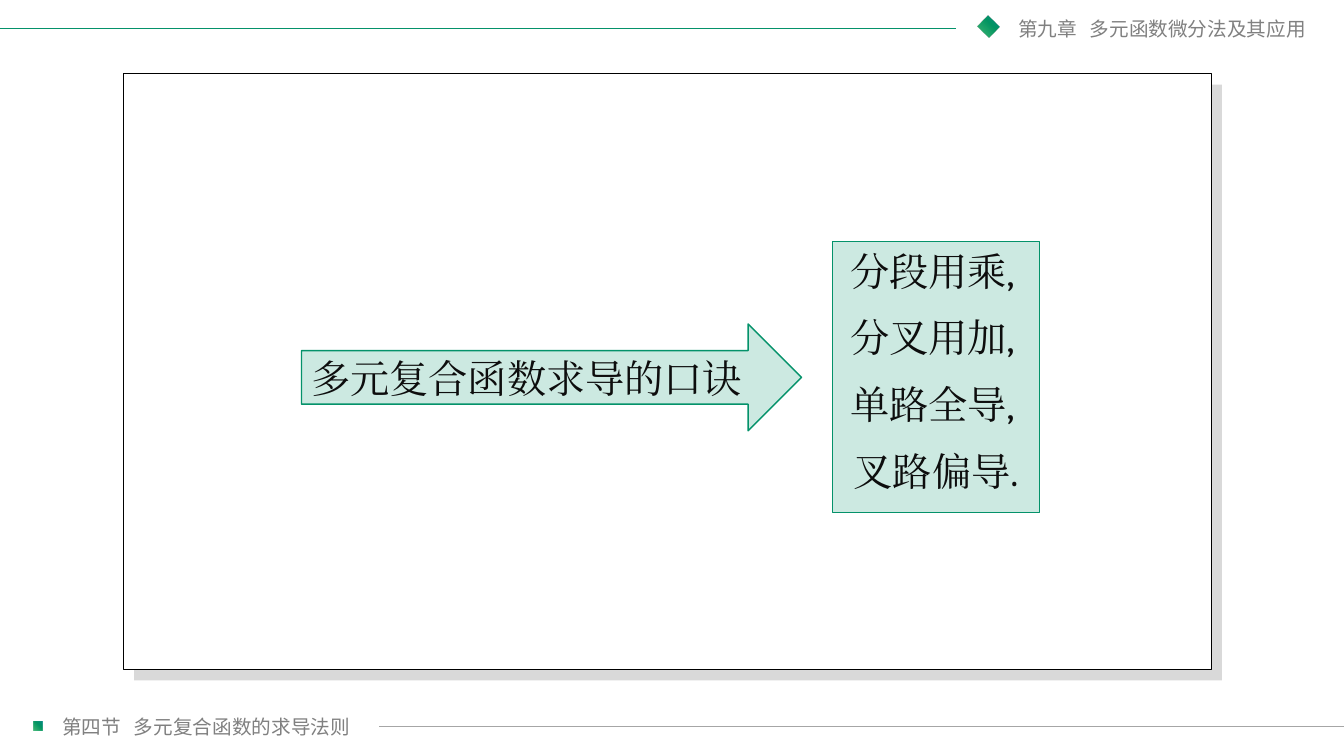
import pptx
import pptx.util
from lxml import etree
from pptx.dml.color import RGBColor
from pptx.enum.shapes import MSO_CONNECTOR, MSO_SHAPE
from pptx.enum.text import MSO_ANCHOR, PP_ALIGN
from pptx.oxml import parse_xml
from pptx.oxml.ns import nsdecls, qn

WIDTH, HEIGHT = 13.33, 7.5
GREEN = RGBColor(0x04, 0x92, 0x6A)
INK = RGBColor(0x0D, 0x0D, 0x0D)
GREY = RGBColor(0x80, 0x80, 0x80)
RULE_GREY = RGBColor(0xA6, 0xA6, 0xA6)
SHADE = RGBColor(0xD9, 0xD9, 0xD9)
WHITE = RGBColor(0xFF, 0xFF, 0xFF)
BLACK = RGBColor(0, 0, 0)
MARKER_STOPS = ((0, "009E47", 73), (61, "039463", 100), (100, "068885", 100))


def inches(*lengths):
    return [pptx.util.Inches(length) for length in lengths]


def add_box(slide, kind, box, fill=None, line=None, line_width=0.25, alpha=None):
    shape = slide.shapes.add_shape(kind, *inches(*box))
    shape.shadow.inherit = False
    if fill is not None:
        shape.fill.solid()
        shape.fill.fore_color.rgb = fill
    if alpha is not None:
        color = shape.fill._xPr.find(".//" + qn("a:srgbClr"))
        etree.SubElement(color, qn("a:alpha")).set("val", str(alpha * 1000))
    if line is None:
        shape.line.fill.background()
    else:
        shape.line.color.rgb = line
        shape.line.width = pptx.util.Pt(line_width)
    return shape


def write_text(shape, lines, size=28, font="Cambria", color=INK,
               align=PP_ALIGN.LEFT, anchor=MSO_ANCHOR.TOP, gap=0, tab=None):
    frame = shape.text_frame
    frame.word_wrap = True
    frame.vertical_anchor = anchor
    for index, line in enumerate(lines):
        paragraph = frame.paragraphs[0] if index == 0 else frame.add_paragraph()
        paragraph.alignment = align
        if index:
            paragraph.space_before = pptx.util.Pt(gap)
        if tab:
            tabs = etree.SubElement(paragraph._p.get_or_add_pPr(), qn("a:tabLst"))
            stop = etree.SubElement(tabs, qn("a:tab"))
            stop.set("pos", str(pptx.util.Inches(tab)))
            stop.set("algn", "l")
        run = paragraph.add_run()
        run.text = line
        run.font.size = pptx.util.Pt(size)
        run.font.name = font
        run.font.color.rgb = color
        etree.SubElement(run._r.get_or_add_rPr(), qn("a:ea")).set("typeface", font)


def add_marker(slide, box, rotation=0):
    marker = add_box(slide, MSO_SHAPE.RECTANGLE, box, GREEN)
    marker.rotation = rotation
    stops = "".join(
        f'<a:gs pos="{position * 1000}"><a:srgbClr val="{color}">'
        f'<a:alpha val="{alpha * 1000}"/></a:srgbClr></a:gs>'
        for position, color, alpha in MARKER_STOPS)
    gradient = parse_xml(
        f'<a:gradFill {nsdecls("a")}><a:gsLst>{stops}</a:gsLst><a:path path="circle">'
        '<a:fillToRect t="100000" r="100000"/></a:path></a:gradFill>')
    properties = marker._element.spPr
    properties.replace(properties.find(qn("a:solidFill")), gradient)


def add_running_title(slide, box, chapter, title):
    text_box = slide.shapes.add_textbox(*inches(*box))
    text_box.text_frame.margin_right = 0
    write_text(text_box, [f"{chapter}\t{title}"], 14, "Noto Sans CJK SC", GREY, tab=0.71)


def add_rule(slide, start, end, top, color):
    rule = slide.shapes.add_connector(
        MSO_CONNECTOR.STRAIGHT, *inches(start, top, end, top))
    rule.line.color.rgb = color
    rule.line.width = pptx.util.Pt(0.5)
    etree.SubElement(rule._element.spPr, qn("a:effectLst"))


def add_header(slide):
    add_marker(slide, (9.72, 0.19, 0.16, 0.15), 44.3)
    add_running_title(slide, (10, 0.12, 3.12, 0.34), "第九章", "多元函数微分法及其应用")
    add_rule(slide, 0, 9.48, 0.28, GREEN)


def add_footer(slide):
    add_marker(slide, (0.33, 7.16, 0.09, 0.09))
    add_running_title(slide, (0.52, 7.04, 3.12, 0.34), "第四节", "多元复合函数的求导法则")
    add_rule(slide, 3.76, WIDTH, 7.21, RULE_GREY)


def add_panel(slide, left, top, width, height, offset=0.11):
    # Offset backing, then the framed white panel
    add_box(slide, MSO_SHAPE.RECTANGLE,
            (left + offset, top + offset, width, height), SHADE)
    add_box(slide, MSO_SHAPE.RECTANGLE, (left, top, width, height), WHITE, BLACK)

    # Mnemonic card and the arrow share one centre line
    middle = top + 0.51 * height
    card_height, arrow_height = 2.69, 1.06
    card = add_box(slide, MSO_SHAPE.RECTANGLE,
                   (left + 7.04, middle - card_height / 2, 2.05, card_height),
                   GREEN, GREEN, 0.75, alpha=20)
    write_text(card, ["分段用乘, ", "分叉用加, ", "单路全导, ", "叉路偏导."],
               align=PP_ALIGN.CENTER, gap=14)
    arrow = add_box(slide, MSO_SHAPE.RIGHT_ARROW,
                    (left + 1.77, middle - arrow_height / 2, 4.96, arrow_height),
                    GREEN, GREEN, 1, alpha=20)
    write_text(arrow, ["多元复合函数求导的口诀"], anchor=MSO_ANCHOR.MIDDLE)


def main():
    presentation = pptx.Presentation()
    presentation.slide_width, presentation.slide_height = inches(WIDTH, HEIGHT)
    slide = presentation.slides.add_slide(presentation.slide_layouts[6])
    add_footer(slide)
    add_header(slide)
    add_panel(slide, 1.22, 0.73, 10.79, 5.91)
    presentation.save("out.pptx")


if __name__ == "__main__":
    main()
